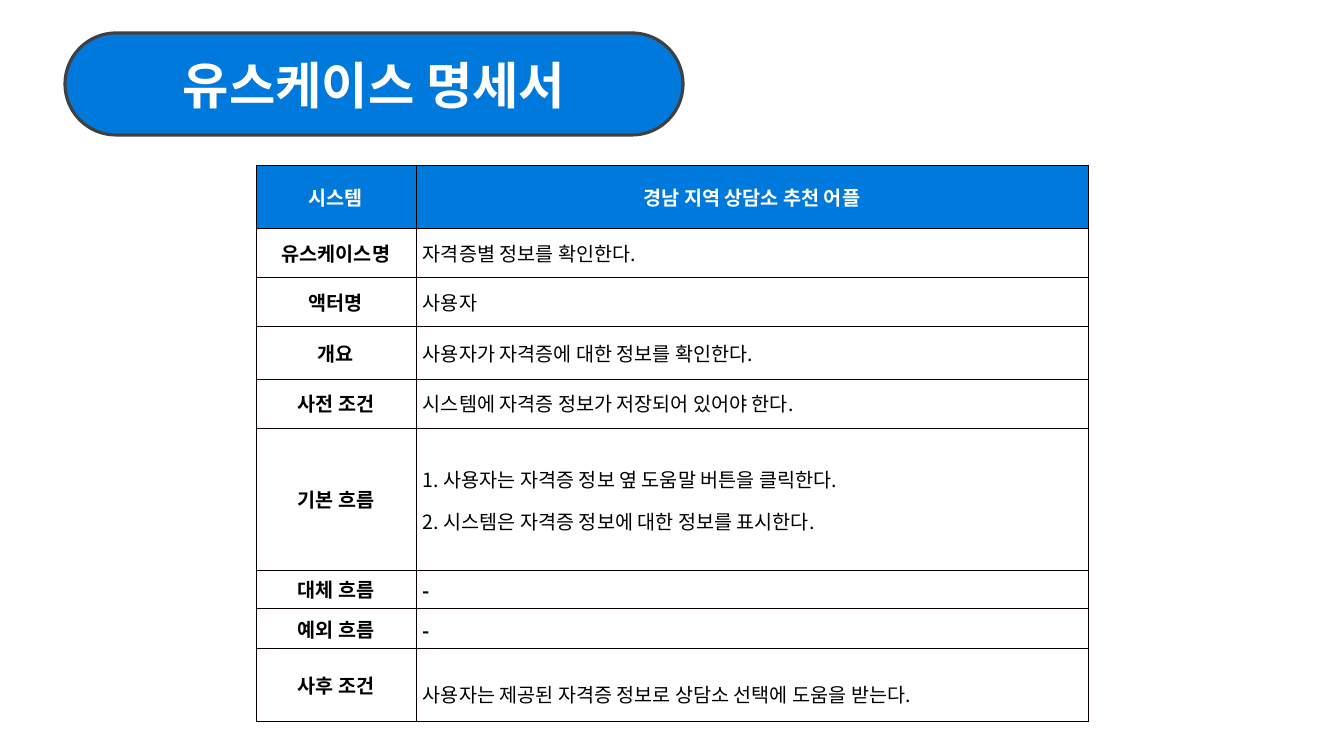
from lxml import etree
from pptx import Presentation
from pptx import util as u
from pptx.dml.color import RGBColor
from pptx.enum import shapes, text
from pptx.oxml.ns import qn

FONT = "Noto Sans CJK KR"
BLUE = RGBColor(0x00, 0x79, 0xDC)
GRAY = RGBColor(0x40, 0x40, 0x40)
BLACK = RGBColor(0x00, 0x00, 0x00)
BORDER = RGBColor(0x0A, 0x00, 0x00)
WHITE = RGBColor(0xFF, 0xFF, 0xFF)

CENTER, LEFT, JUSTIFY = (text.PP_ALIGN.CENTER, text.PP_ALIGN.LEFT,
                         text.PP_ALIGN.JUSTIFY)
LIST_STYLE = dict(align=JUSTIFY, spacing=1.07, after=8)

# Row height, label, lines, format of the lines
ROWS = [
    (63, "시스템", ["경남 지역 상담소 추천 어플"],
     dict(align=CENTER, bold=True, color=WHITE)),
    (49, "유스케이스명", ["자격증별 정보를 확인한다."], {}),
    (49, "액터명", ["사용자"], {}),
    (53, "개요", ["사용자가 자격증에 대한 정보를 확인한다."], {}),
    (49, "사전 조건", ["시스템에 자격증 정보가 저장되어 있어야 한다."], {}),
    (142, "기본 흐름", ["1. 사용자는 자격증 정보 옆 도움말 버튼을 클릭한다.",
                    "2. 시스템은 자격증 정보에 대한 정보를 표시한다."], LIST_STYLE),
    (39, "대체 흐름", ["-"], dict(LIST_STYLE, bold=True)),
    (40, "예외 흐름", ["-"], dict(LIST_STYLE, bold=True)),
    (73, "사후 조건", ["사용자는 제공된 자격증 정보로 상담소 선택에 도움을 받는다."],
     dict(spacing=1.6)),
]


def px(pixels):
    return u.Emu(round(pixels * 914400 / 100.8))


def write(frame, lines, size=14, color=BLACK, bold=False, align=LEFT,
          spacing=1.0, after=0):
    for index, line in enumerate(lines):
        para = frame.paragraphs[0] if index == 0 else frame.add_paragraph()
        para.alignment = align
        para.line_spacing = spacing
        para.space_before, para.space_after = u.Pt(0), u.Pt(after)
        span = para.add_run()
        span.text = line
        font = span.font
        font.name, font.size, font.bold = FONT, u.Pt(size), bold
        font.color.rgb = color
        east_asian = etree.Element(qn("a:ea"), typeface=FONT)
        font._element.find(qn("a:latin")).addnext(east_asian)


def set_borders(cell, color, points):
    properties = cell._tc.get_or_add_tcPr()
    for index, side in enumerate(("lnL", "lnR", "lnT", "lnB")):
        line = etree.Element(qn("a:" + side), w=str(u.Pt(points)))
        fill = etree.SubElement(line, qn("a:solidFill"))
        etree.SubElement(fill, qn("a:srgbClr"), val=str(color))
        properties.insert(index, line)


def add_heading(page, left, top, width, height):
    box = [px(value) for value in (left, top, width, height)]

    # Pill behind the title
    pill = page.shapes.add_shape(shapes.MSO_SHAPE.ROUNDED_RECTANGLE, *box)
    pill.adjustments[0] = 0.5
    pill.shadow.inherit = False
    pill.fill.solid()
    pill.fill.fore_color.rgb = BLUE
    pill.line.color.rgb = GRAY
    pill.line.width = u.Pt(2.25)

    # Title text
    title = page.shapes.title
    title.left, title.top, title.width, title.height = box
    pill._element.addnext(title._element)
    title.text_frame.vertical_anchor = text.MSO_ANCHOR.MIDDLE
    title.text_frame.auto_size = text.MSO_AUTO_SIZE.NONE
    write(title.text_frame, ["유스케이스 명세서"], size=36, color=WHITE,
          bold=True, align=CENTER)


def add_use_case_table(page, left, top, label_width, detail_width):
    height = sum(row[0] for row in ROWS)
    table = page.shapes.add_table(
        len(ROWS), 2, px(left), px(top),
        px(label_width + detail_width), px(height)).table
    table.first_row = table.horz_banding = False
    table.columns[0].width = px(label_width)
    table.columns[1].width = px(detail_width)

    for index, (row_height, label, lines, style) in enumerate(ROWS):
        table.rows[index].height = px(row_height)
        is_header = index == 0
        label_style = dict(bold=True, align=CENTER,
                           color=WHITE if is_header else BLACK)
        contents = [([label], label_style), (lines, style)]
        for cell, (words, cell_style) in zip(table.rows[index].cells, contents):
            cell.vertical_anchor = text.MSO_ANCHOR.MIDDLE
            cell.margin_left = cell.margin_right = px(7)
            cell.margin_top = cell.margin_bottom = px(2)
            set_borders(cell, BORDER, 0.56)
            if is_header:
                cell.fill.solid()
                cell.fill.fore_color.rgb = BLUE
            else:
                cell.fill.background()
            write(cell.text_frame, words, **cell_style)


deck = Presentation()
deck.slide_width, deck.slide_height = px(1344), px(756)
page = deck.slides.add_slide(deck.slide_layouts[5])
add_heading(page, 65, 33, 618, 102)
add_use_case_table(page, 256, 165, 160, 672)
deck.save("out.pptx")
